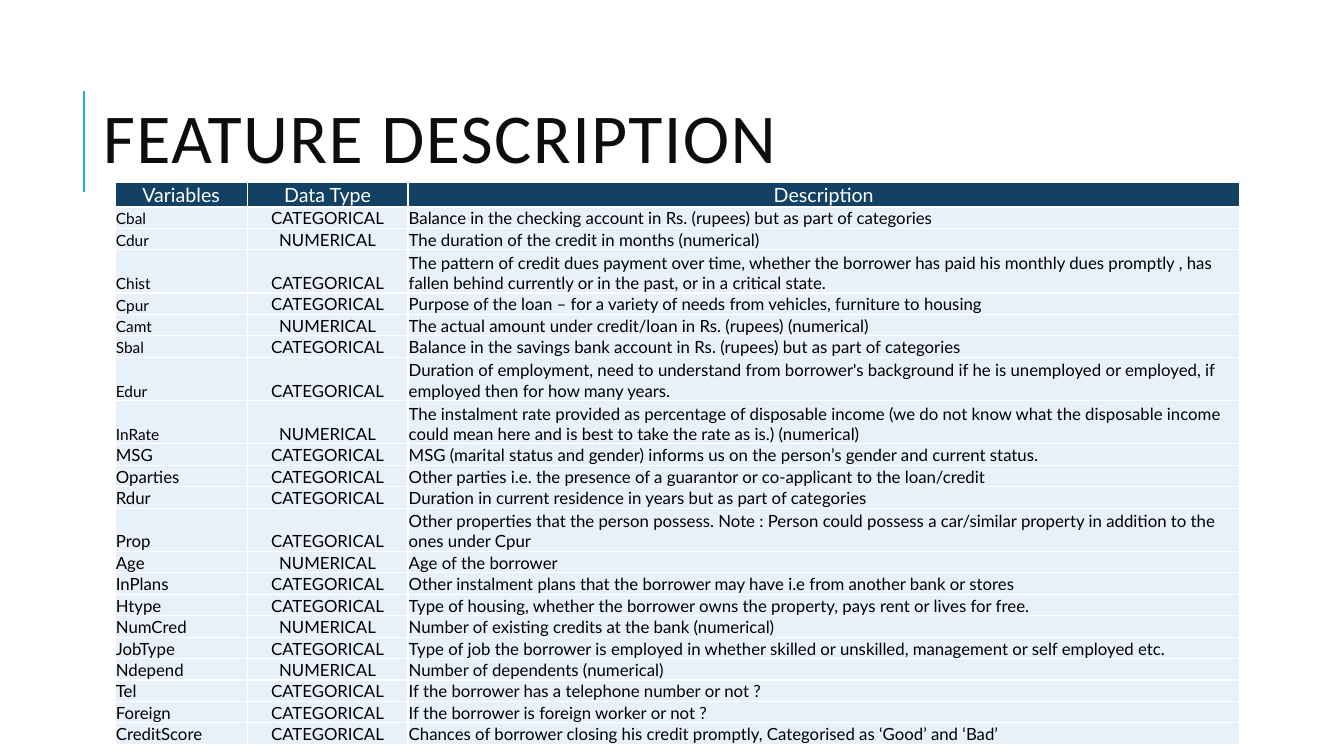
"""Build the feature description slide with its table of credit variables."""
import pptx
import pptx.dml.color
import pptx.enum.shapes
import pptx.enum.text
import pptx.oxml
import pptx.oxml.ns
import pptx.util

Cm = pptx.util.Cm
Pt = pptx.util.Pt
RGBColor = pptx.dml.color.RGBColor
PP_ALIGN = pptx.enum.text.PP_ALIGN
MSO_ANCHOR = pptx.enum.text.MSO_ANCHOR

WHITE = RGBColor(0xFF, 0xFF, 0xFF)
BLACK = RGBColor(0x00, 0x00, 0x00)
INK = RGBColor(0x0D, 0x0D, 0x0D)
CYAN = RGBColor(0x1C, 0xAD, 0xE4)
NAVY = RGBColor(0x13, 0x41, 0x63)
PALE = RGBColor(0xE8, 0xF1, 0xFA)

CAT, NUM = "CATEGORICAL", "NUMERICAL"
HEADER = ("Variables", "Data Type", "Description")
FEATURES = [
    ("Cbal", CAT, "Balance in the checking account in Rs. (rupees) but as part of categories"),
    ("Cdur", NUM, "The duration of the credit in months (numerical)"),
    ("Chist", CAT, "The pattern of credit dues payment over time, whether the borrower has paid his "
     "monthly dues promptly , has fallen behind currently or in the past, or in a critical state."),
    ("Cpur", CAT, "Purpose of the loan – for a variety of needs from vehicles, furniture to housing"),
    ("Camt", NUM, "The actual amount under credit/loan in Rs. (rupees) (numerical)"),
    ("Sbal", CAT, "Balance in the savings bank account in Rs. (rupees) but as part of categories"),
    ("Edur", CAT, "Duration of employment, need to understand from borrower's background if he is "
     "unemployed or employed, if employed then for how many years."),
    ("InRate", NUM, "The instalment rate provided as percentage of disposable income (we do not know "
     "what the disposable income could mean here and is best to take the rate as is.) (numerical)"),
    ("MSG", CAT, "MSG (marital status and gender) informs us on the person’s gender and current status."),
    ("Oparties", CAT, "Other parties i.e. the presence of a guarantor or co-applicant to the loan/credit"),
    ("Rdur", CAT, "Duration in current residence in years but as part of categories"),
    ("Prop", CAT, "Other properties that the person possess. Note : Person could possess a car/similar "
     "property in addition to the ones under Cpur"),
    ("Age", NUM, "Age of the borrower"),
    ("InPlans", CAT, "Other instalment plans that the borrower may have i.e from another bank or stores"),
    ("Htype", CAT, "Type of housing, whether the borrower owns the property, pays rent or lives for free."),
    ("NumCred", NUM, "Number of existing credits at the bank (numerical)"),
    ("JobType", CAT, "Type of job the borrower is employed in whether skilled or unskilled, "
     "management or self employed etc."),
    ("Ndepend", NUM, "Number of dependents (numerical)"),
    ("Tel", CAT, "If the borrower has a telephone number or not ?"),
    ("Foreign", CAT, "If the borrower is foreign worker or not ?"),
    ("CreditScore", CAT, "Chances of borrower closing his credit promptly, Categorised as ‘Good’ and ‘Bad’"),
]
SMALL_NAMES = 8
TWO_LINE_LENGTH = 110
COLUMN_WIDTHS = (3.33, 4.05, 20.96)


def write(tf, text, size, color, font="Lato", align=PP_ALIGN.LEFT, anchor=MSO_ANCHOR.BOTTOM):
    """Put formatted text in a text frame or cell and return its run."""
    tf.vertical_anchor = anchor
    p = getattr(tf, "text_frame", tf).paragraphs[0]
    p.alignment = align
    r = p.add_run()
    r.text = text
    r.font.size = Pt(size)
    r.font.name = font
    r.font.color.rgb = color
    return r


prs = pptx.Presentation()
prs.slide_width, prs.slide_height = Cm(33.87), Cm(19.05)
s = prs.slides.add_slide(prs.slide_layouts[5])

line = s.shapes.add_connector(pptx.enum.shapes.MSO_CONNECTOR.STRAIGHT, Cm(2.12), Cm(4.83), Cm(2.12), Cm(2.29))
line.line.color.rgb = CYAN
line.line.width = Pt(1.5)
pptx.oxml.ns.qn("a:effectLst")
line._element.spPr.append(pptx.oxml.parse_xml(f"<a:effectLst {pptx.oxml.ns.nsdecls('a')}/>"))

title = s.shapes.title
title.left, title.top, title.width, title.height = Cm(2.34), Cm(1.7), Cm(29.21), Cm(3.68)
tf = title.text_frame
tf.auto_size = pptx.enum.text.MSO_AUTO_SIZE.NONE
r = write(tf, "FEATURE DESCRIPTION", 50, INK, font="Calibri", anchor=MSO_ANCHOR.MIDDLE)
r._r.get_or_add_rPr().set("spc", "100")
tf.paragraphs[0].line_spacing = 0.9

rows = [HEADER] + FEATURES
table = s.shapes.add_table(len(rows), len(HEADER), Cm(2.9), Cm(4.6), Cm(sum(COLUMN_WIDTHS)), Cm(14.15)).table
for column, width in zip(table.columns, COLUMN_WIDTHS):
    column.width = Cm(width)

for i, row in enumerate(rows):
    is_header = i == 0
    table.rows[i].height = Cm(0.61 if is_header else 1.09 if len(row[2]) > TWO_LINE_LENGTH else 0.54)
    for j, text in enumerate(row):
        cell = table.cell(i, j)
        cell.margin_left = cell.margin_top = cell.margin_right = Cm(0.02)
        cell.margin_bottom = 0
        cell.fill.solid()
        cell.fill.fore_color.rgb = NAVY if is_header else PALE
        if is_header:
            write(cell, text, 14, WHITE, align=PP_ALIGN.CENTER, anchor=MSO_ANCHOR.TOP)
        else:
            size = 11 if j == 0 and i <= SMALL_NAMES else 12
            write(cell, text, size, BLACK, align=PP_ALIGN.CENTER if j == 1 else PP_ALIGN.LEFT)
        for k, side in enumerate(("lnL", "lnR", "lnT", "lnB")):
            border = pptx.oxml.parse_xml(
                f'<a:{side} {pptx.oxml.ns.nsdecls("a")} w="{Pt(1)}"><a:solidFill>'
                f'<a:srgbClr val="{WHITE}"/></a:solidFill></a:{side}>')
            cell._tc.get_or_add_tcPr().insert(k, border)

prs.save("out.pptx")
